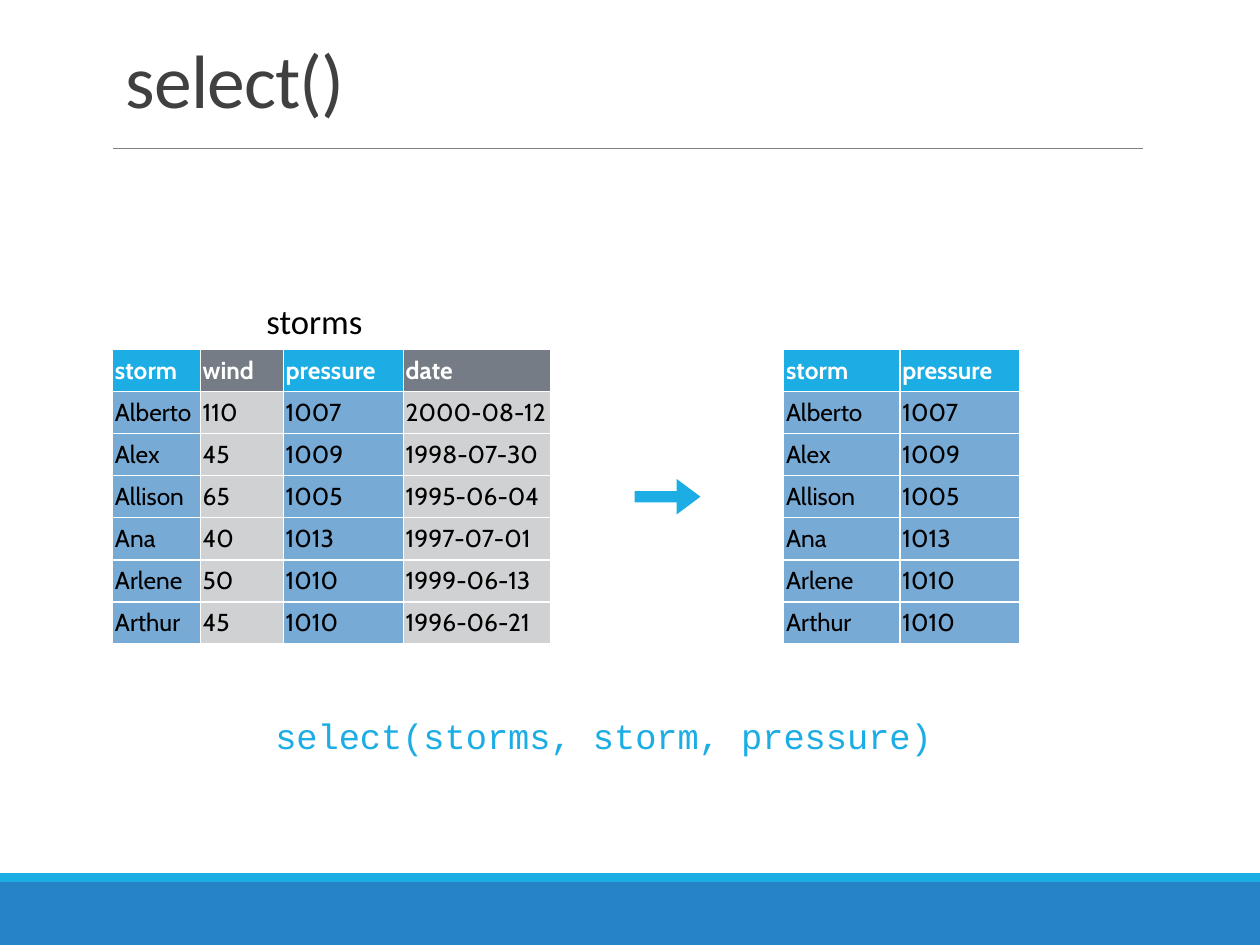
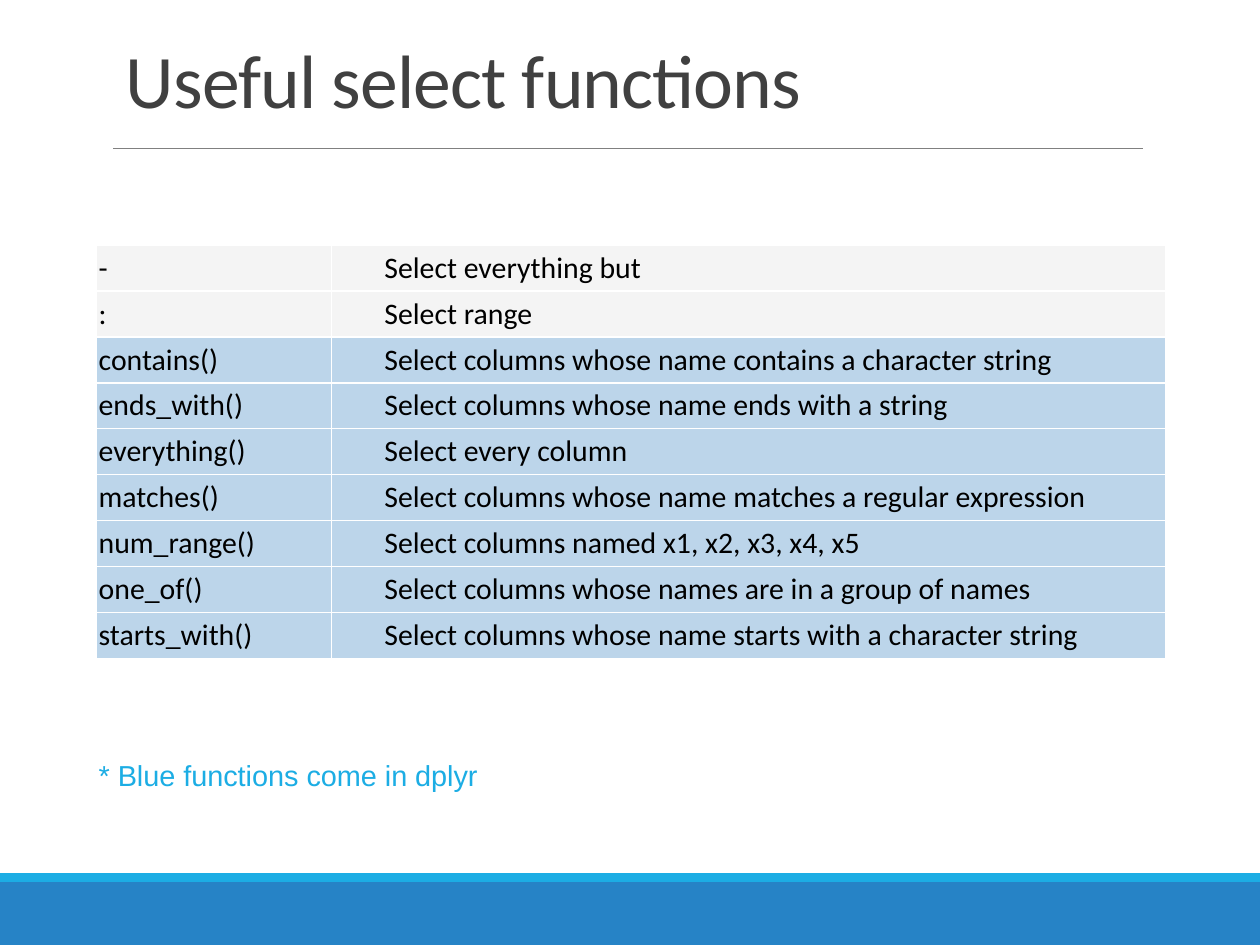
from lxml import etree
from pptx import Presentation
from pptx.dml.color import RGBColor
from pptx.enum import shapes, text
from pptx.oxml import ns
from pptx.util import Pt

WIDTH, HEIGHT = 720, 540
BLUE, DEEP_BLUE, CELL_BLUE = "1CADE4", "2683C6", "78AAD6"
HEAD_GRAY, CELL_GRAY, PALE_GRAY = "767C85", "D0D1D2", "EBEBEB"
RULE_GRAY, TITLE_GRAY, WHITE, BLACK = "808080", "404040", "FFFFFF", "000000"

STORMS = [
    ("storm", "wind", "pressure", "date"),
    ("Alberto", "110", "1007", "2000-08-12"),
    ("Alex", "45", "1009", "1998-07-30"),
    ("Allison", "65", "1005", "1995-06-04"),
    ("Ana", "40", "1013", "1997-07-01"),
    ("Arlene", "50", "1010", "1999-06-13"),
    ("Arthur", "45", "1010", "1996-06-21"),
]
SELECTED = ("storm", "pressure")

HELPERS = [
    ("-", "Select everything but"),
    (":", "Select range"),
    ("contains()", "Select columns whose name contains a character string"),
    ("ends_with()", "Select columns whose name ends with a string"),
    ("everything()", "Select every column"),
    ("matches()", "Select columns whose name matches a regular expression"),
    ("num_range()", "Select columns named x1, x2, x3, x4, x5"),
    ("one_of()", "Select columns whose names are in a group of names"),
    ("starts_with()", "Select columns whose name starts with a character string"),
]
BASE_OPERATORS = ("-", ":")


def rgb(color):
    return RGBColor.from_string(color)


def sub(parent, tag, **attrs):
    return etree.SubElement(parent, ns.qn(tag), attrs)


def style_run(r, size, font, color, bold=False):
    r.font.size = Pt(size)
    r.font.name = font
    r.font.bold = bold
    r.font.color.rgb = rgb(color)


def set_insets(frame, x, y):
    frame.margin_left = frame.margin_right = Pt(x)
    frame.margin_top = frame.margin_bottom = Pt(y)


def add_label(s, box, words, size, font, color, inset=(1.8, 1.8),
              anchor=text.MSO_ANCHOR.TOP, before=0, spacing=1.0):
    tf = s.shapes.add_textbox(*map(Pt, box)).text_frame
    tf.word_wrap = True
    tf.vertical_anchor = anchor
    set_insets(tf, *inset)
    tf.text = words
    p = tf.paragraphs[0]
    p.space_before = Pt(before)
    p.line_spacing = spacing
    style_run(p.runs[0], size, font, color)
    return p.runs[0]


def add_block(s, kind, box, color):
    sp = s.shapes.add_shape(kind, *map(Pt, box))
    sp.shadow.inherit = False
    sp.fill.solid()
    sp.fill.fore_color.rgb = rgb(color)
    sp.line.fill.background()
    return sp


def add_frame(prs, title):
    s = prs.slides.add_slide(prs.slide_layouts[6])
    rect = shapes.MSO_SHAPE.RECTANGLE
    add_block(s, rect, (0, HEIGHT - 36, WIDTH, 36), DEEP_BLUE)
    add_block(s, rect, (0, HEIGHT - 41, WIDTH, 5), BLUE)
    rule = s.shapes.add_connector(
        shapes.MSO_CONNECTOR.STRAIGHT, Pt(64.8), Pt(85), Pt(653), Pt(85))
    rule.line.color.rgb = rgb(RULE_GRAY)
    rule.line.width = Pt(0.5)
    sub(rule._element.spPr, "a:effectLst")
    r = add_label(s, (64.8, 22.3, 594, 51.8), title, 43.2, "Calibri", TITLE_GRAY,
                  (7.2, 3.6), text.MSO_ANCHOR.BOTTOM, spacing=0.85)
    r._r.get_or_add_rPr().set("spc", "-50")
    return s


def add_borders(cell):
    tc_pr = cell._tc.get_or_add_tcPr()
    for i, side in enumerate(("a:lnL", "a:lnR", "a:lnT", "a:lnB")):
        ln = sub(tc_pr, side, w=str(Pt(1)))
        sub(sub(ln, "a:solidFill"), "a:srgbClr", val=WHITE)
        tc_pr.insert(i, ln)


def fill_cell(cell, color, opacity=100):
    cell.fill.solid()
    cell.fill.fore_color.rgb = rgb(color)
    if opacity < 100:
        clr = cell._tc.tcPr.find(".//" + ns.qn("a:srgbClr"))
        sub(clr, "a:alpha", val=str(opacity * 1000))


def add_grid(s, left, top, col_widths, row_height, rows, header, style_cell):
    box = (left, top, sum(col_widths), row_height * len(rows))
    table = s.shapes.add_table(len(rows), len(col_widths), *map(Pt, box)).table
    table.first_row = header
    table.horz_banding = False
    for col, width in zip(table.columns, col_widths):
        col.width = Pt(width)
    for i, row in enumerate(rows):
        table.rows[i].height = Pt(row_height)
        for j, words in enumerate(row):
            cell = table.cell(i, j)
            cell.text = words
            cell.vertical_anchor = text.MSO_ANCHOR.MIDDLE
            set_insets(cell, 1.4, 1.4)
            cell.text_frame.paragraphs[0].alignment = text.PP_ALIGN.LEFT
            style_cell(cell, i, j)
            add_borders(cell)


def add_storm_table(s, left, top, col_widths, rows):
    def style_cell(cell, i, j):
        head = i == 0
        if rows[0][j] in SELECTED:
            color = BLUE if head else CELL_BLUE
        else:
            color = HEAD_GRAY if head else CELL_GRAY
        fill_cell(cell, color)
        style_run(cell.text_frame.paragraphs[0].runs[0], 14, "Cabin",
                  WHITE if head else BLACK, head)

    add_grid(s, left, top, col_widths, 24.05, rows, True, style_cell)


def add_helper_table(s, left, top, col_widths):
    def style_cell(cell, i, j):
        if HELPERS[i][0] in BASE_OPERATORS:
            fill_cell(cell, PALE_GRAY, 50)
        else:
            fill_cell(cell, CELL_BLUE, 49)
        p = cell.text_frame.paragraphs[0]
        style_run(p.runs[0], 17, "Calibri", BLACK)
        if j == 1:
            p._p.get_or_add_pPr().set("indent", str(Pt(28.8)))

    add_grid(s, left, top, col_widths, 26.25, HELPERS, False, style_cell)


def build_select_slide(prs):
    s = add_frame(prs, "select()")
    top = 199.7
    add_storm_table(s, 64.3, top, (50.2, 47.4, 68.6, 84.4), STORMS)
    add_label(s, (150.5, top - 28.3, 69, 26.6), "storms", 19.8, "Calibri", BLACK,
              anchor=text.MSO_ANCHOR.MIDDLE, before=21, spacing=0.9)
    kept = [STORMS[0].index(name) for name in SELECTED]
    add_storm_table(s, 447.8, top, (66.5, 68.6),
                    [[row[j] for j in kept] for row in STORMS])
    arrow = add_block(s, shapes.MSO_SHAPE.RIGHT_ARROW,
                      (362.7, top + 74, 37.6, 20.2), BLUE)
    arrow.adjustments[0] = 0.32
    arrow.adjustments[1] = 0.67
    add_label(s, (155.5, 406, 410.5, 44), "select(storms, storm, pressure)",
              20.2, "Courier New", BLUE, before=4.1)


def build_helpers_slide(prs):
    s = add_frame(prs, "Useful select functions")
    left = 55
    add_helper_table(s, left, 140, (134.5, 476.5))
    add_label(s, (left, 442, 391.7, 30), "* Blue functions come in dplyr",
              16.5, "Arial", BLUE, (1.4, 1.4), before=24, spacing=0.4)


def main():
    prs = Presentation()
    prs.slide_width, prs.slide_height = Pt(WIDTH), Pt(HEIGHT)
    build_select_slide(prs)
    build_helpers_slide(prs)
    prs.save("out.pptx")


if __name__ == "__main__":
    main()
